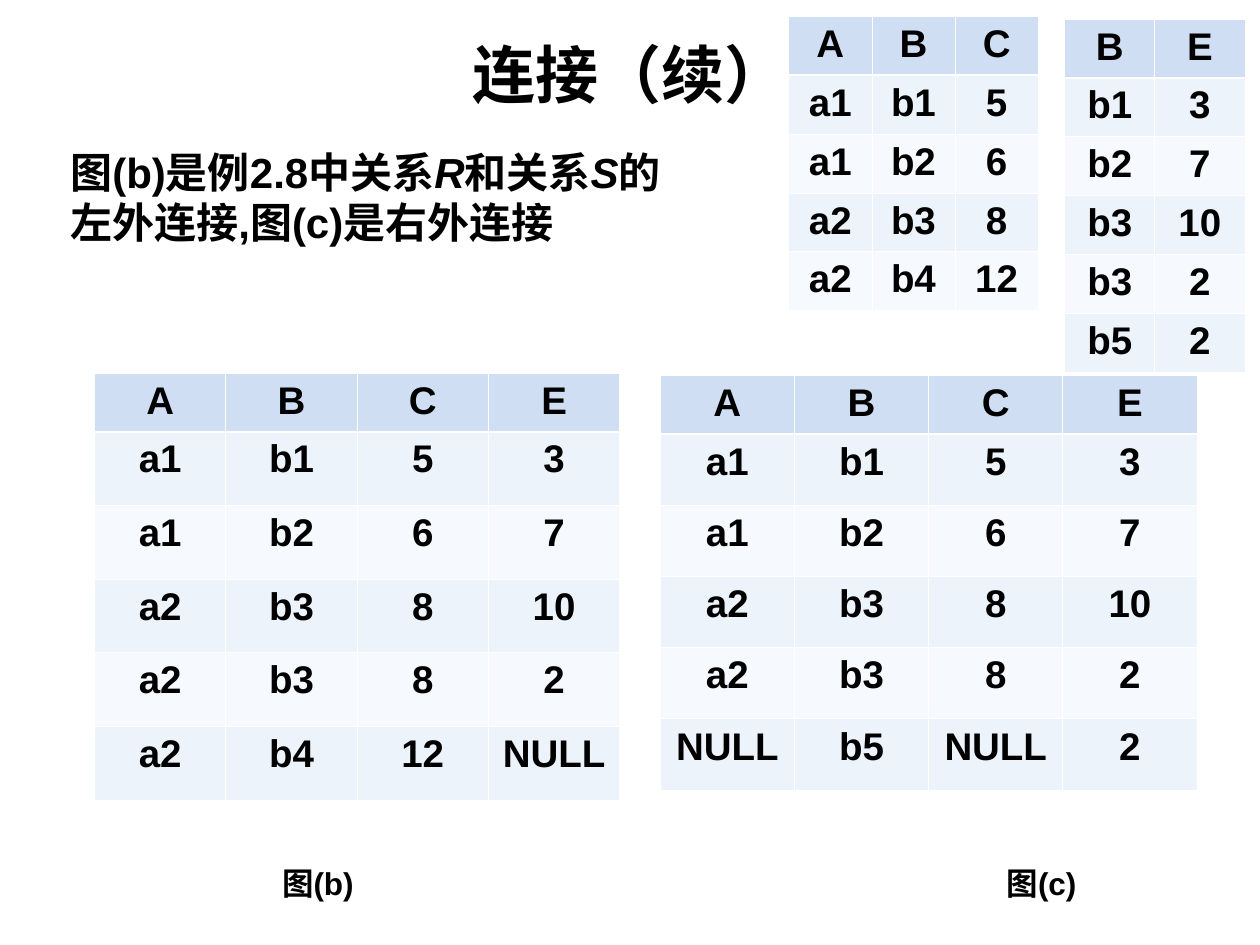
from lxml import etree
from pptx import Presentation
from pptx import util as u
from pptx.dml.color import RGBColor
from pptx.enum import text
from pptx.oxml import ns

# The slide is a grid of 100 columns by 75 rows; boxes are (left, top, width, height).
COLUMN = ROW = u.Inches(0.1)
FONT = "Arial"
COLORS = {
    "ink": "000000",
    "header": "CFDEF3",
    "odd_row": "EDF3FA",
    "even_row": "F6F9FD",
    "border": "FFFFFF",
}
HEADER_HEIGHT = 4.66
THIN, THICK = 0.45, 1.47

RELATION_R = [
    ["A", "B", "C"],
    ["a1", "b1", "5"],
    ["a1", "b2", "6"],
    ["a2", "b3", "8"],
    ["a2", "b4", "12"],
]
RELATION_S = [
    ["B", "E"],
    ["b1", "3"],
    ["b2", "7"],
    ["b3", "10"],
    ["b3", "2"],
    ["b5", "2"],
]
MATCHED_ROWS = [
    ["A", "B", "C", "E"],
    ["a1", "b1", "5", "3"],
    ["a1", "b2", "6", "7"],
    ["a2", "b3", "8", "10"],
    ["a2", "b3", "8", "2"],
]
LEFT_JOIN = MATCHED_ROWS + [["a2", "b4", "12", "NULL"]]
RIGHT_JOIN = MATCHED_ROWS + [["NULL", "b5", "NULL", "2"]]


def to_emu(box):
    left, top, width, height = box
    return [int(n) for n in (left * COLUMN, top * ROW, width * COLUMN, height * ROW)]


def style_paragraph(paragraph, size, alignment=text.PP_ALIGN.LEFT):
    paragraph.alignment = alignment
    paragraph.font.name = FONT
    paragraph.font.size = u.Pt(size)
    paragraph.font.bold = True
    paragraph.font.color.rgb = RGBColor.from_string(COLORS["ink"])


def add_text_frame(slide, box, wrap):
    frame = slide.shapes.add_textbox(*to_emu(box)).text_frame
    frame.word_wrap = wrap
    frame.vertical_anchor = text.MSO_ANCHOR.MIDDLE
    return frame


def add_title(slide, box):
    paragraph = add_text_frame(slide, box, True).paragraphs[0]
    paragraph.text = "连接（续）"
    style_paragraph(paragraph, 36, text.PP_ALIGN.CENTER)


def add_explanation(slide, box):
    """Two lines in which the relation names R and S are italic."""
    frame = add_text_frame(slide, box, False)
    first, second = frame.paragraphs[0], frame.add_paragraph()
    for part in ("图(b)是例2.8中关系", "R", "和关系", "S", "的"):
        run = first.add_run()
        run.text = part
        if part in ("R", "S"):
            run.font.italic = True
    second.text = "左外连接,图(c)是右外连接"
    for paragraph in frame.paragraphs:
        style_paragraph(paragraph, 24)


def add_captions(slide, box, second_caption):
    """Both captions on one line; a tab stop places the second one."""
    paragraph = add_text_frame(slide, box, True).paragraphs[0]
    paragraph.text = "图(b)\t图(c)"
    properties = paragraph._p.get_or_add_pPr()
    stops = etree.SubElement(properties, ns.qn("a:tabLst"))
    position = str(int(second_caption * COLUMN))
    etree.SubElement(stops, ns.qn("a:tab"), pos=position, algn="l")
    style_paragraph(paragraph, 18)


def set_borders(cell, top, bottom):
    properties = cell._tc.get_or_add_tcPr()
    widths = {"lnL": THIN, "lnR": THIN, "lnT": top, "lnB": bottom}
    for side, width in widths.items():
        line = etree.SubElement(properties, ns.qn(f"a:{side}"), w=str(u.Pt(width)))
        fill = etree.SubElement(line, ns.qn("a:solidFill"))
        etree.SubElement(fill, ns.qn("a:srgbClr"), val=COLORS["border"])


def add_relation(slide, box, rows):
    """A table with equal columns, a header and equal data rows below it."""
    shape = slide.shapes.add_table(len(rows), len(rows[0]), *to_emu(box))
    table = shape.table
    data_height = (box[3] - HEADER_HEIGHT) / (len(rows) - 1)
    for index, values in enumerate(rows):
        height = data_height if index else HEADER_HEIGHT
        table.rows[index].height = int(height * ROW)
        color = "header" if index == 0 else "odd_row" if index % 2 else "even_row"
        for column, value in enumerate(values):
            cell = table.cell(index, column)
            set_borders(
                cell,
                top=THICK if index == 1 else THIN,
                bottom=THICK if index == 0 else THIN,
            )
            cell.fill.solid()
            cell.fill.fore_color.rgb = RGBColor.from_string(COLORS[color])
            cell.text = value
            style_paragraph(
                cell.text_frame.paragraphs[0], 22, text.PP_ALIGN.CENTER
            )


def main():
    presentation = Presentation()
    presentation.slide_width = 100 * COLUMN
    presentation.slide_height = 75 * ROW
    slide = presentation.slides.add_slide(presentation.slide_layouts[6])

    add_title(slide, (5, -0.4, 90, 12.4))
    add_explanation(slide, (4.6, 11.1, 55.2, 9))
    add_relation(slide, (7.5, 29.6, 41.7, 33.9), LEFT_JOIN)
    add_relation(slide, (52.4, 29.8, 42.6, 32.9), RIGHT_JOIN)
    add_captions(slide, (21.4, 68.1, 65.7, 4), second_caption=57.5)
    add_relation(slide, (62.6, 1.3, 19.8, 23.3), RELATION_R)
    add_relation(slide, (84.5, 1.5, 14.3, 28), RELATION_S)

    presentation.save("out.pptx")


if __name__ == "__main__":
    main()
